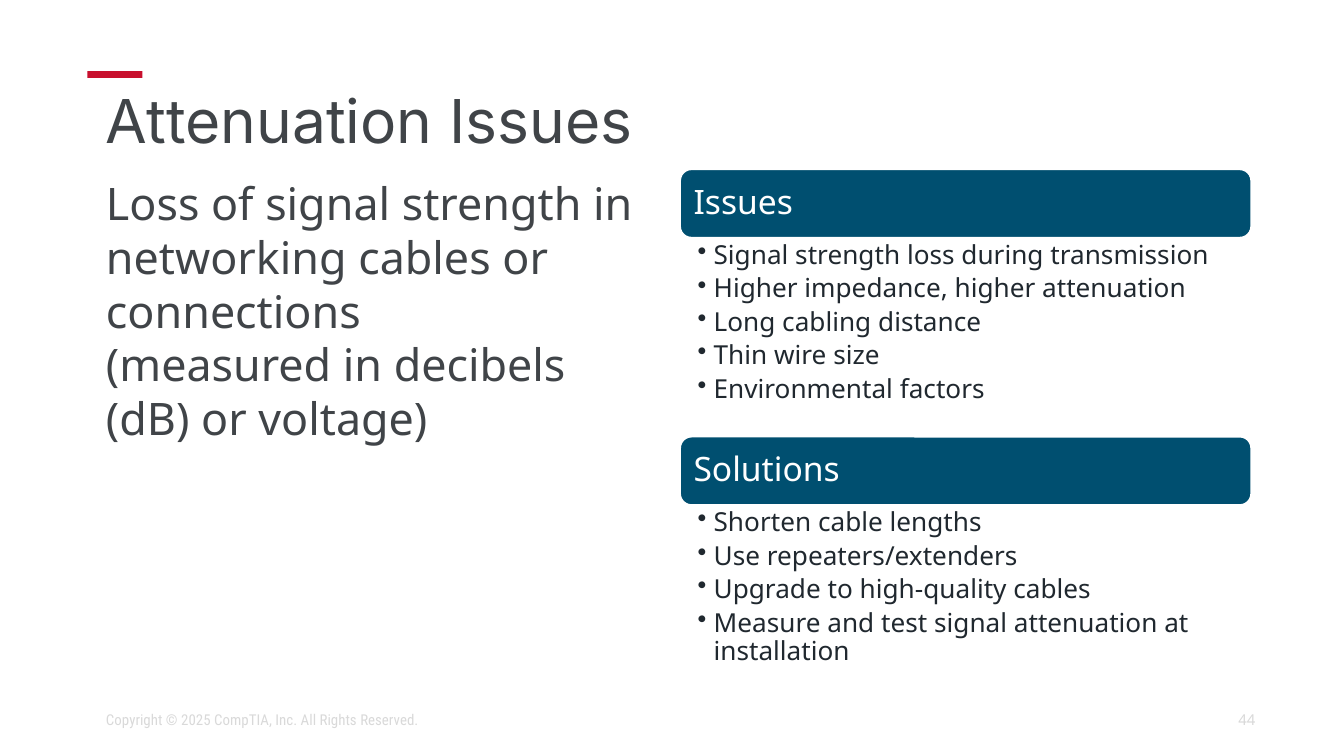
from dataclasses import dataclass

import pptx
import pptx.util
import pptx.dml.color
import pptx.enum.shapes
import pptx.enum.text
import pptx.oxml.ns
from lxml import etree

Inches, Pt = pptx.util.Inches, pptx.util.Pt
RGBColor = pptx.dml.color.RGBColor
MSO_SHAPE = pptx.enum.shapes.MSO_SHAPE
MSO_ANCHOR, PP_ALIGN = pptx.enum.text.MSO_ANCHOR, pptx.enum.text.PP_ALIGN

RED = RGBColor(0xC8, 0x10, 0x2E)
TEAL = RGBColor(0x00, 0x4F, 0x70)
WHITE = RGBColor(0xFF, 0xFF, 0xFF)
GREY = RGBColor(0x40, 0x44, 0x48)
INK = RGBColor(0x20, 0x28, 0x2F)
PALE = RGBColor(0xD9, 0xD9, 0xD9)

WIDTH, HEIGHT = 10, 5.62
LEFT_COL, RIGHT_COL, COL_WIDTH = 0.69, 5.06, 4.25
CONTENT_TOP, FOOTER_TOP, FOOTER_HEIGHT = 1.26, 5.21, 0.3
HEADER_HEIGHT, PANEL_STEP, HEADER_PAD = 0.51, 1.99, 0.03
BULLET_INDENT = 0.12


@dataclass(frozen=True)
class Box:
    left: float
    top: float
    width: float
    height: float

    def emu(self) -> tuple:
        return tuple(Inches(v) for v in (self.left, self.top, self.width, self.height))


@dataclass(frozen=True)
class Style:
    size: float
    color: RGBColor
    font: str = "Noto Sans"
    spacing: float = 1.0
    after: float = 0
    anchor: MSO_ANCHOR = MSO_ANCHOR.MIDDLE
    align: PP_ALIGN = PP_ALIGN.LEFT
    insets: tuple = (0.1, 0.05, 0.1, 0.05)
    bullet: bool = False


@dataclass(frozen=True)
class Panel:
    heading: str
    bullets: tuple


TITLE = Style(32.4, GREY, "Inter", spacing=0.9)
BODY = Style(24, GREY, anchor=MSO_ANCHOR.TOP)
HEADING = Style(18, WHITE, spacing=0.9, insets=(0.07,) * 4)
BULLETS = Style(14, INK, spacing=0.9, after=2.8, anchor=MSO_ANCHOR.TOP,
                insets=(0.13, 0.03, 0.14, 0.03), bullet=True)
COPYRIGHT = Style(8, PALE, "Roboto Condensed")
NUMBER = Style(8, PALE, align=PP_ALIGN.RIGHT)

PANELS = (
    Panel("Issues", (
        "Signal strength loss during transmission",
        "Higher impedance, higher attenuation",
        "Long cabling distance",
        "Thin wire size",
        "Environmental factors",
    )),
    Panel("Solutions", (
        "Shorten cable lengths",
        "Use repeaters/extenders",
        "Upgrade to high-quality cables",
        "Measure and test signal attenuation at installation",
    )),
)


def add_bullet(p) -> None:
    pPr = p._p.get_or_add_pPr()
    pPr.set("marL", str(Inches(BULLET_INDENT)))
    pPr.set("indent", str(-Inches(BULLET_INDENT)))
    etree.SubElement(pPr, pptx.oxml.ns.qn("a:buChar")).set("char", "•")


def add_text(s, box: Box, style: Style, *paragraphs: str) -> None:
    tf = s.shapes.add_textbox(*box.emu()).text_frame
    tf.word_wrap = True
    tf.vertical_anchor = style.anchor
    tf.margin_left, tf.margin_top, tf.margin_right, tf.margin_bottom = map(Inches, style.insets)
    for i, text in enumerate(paragraphs):
        p = tf.add_paragraph() if i else tf.paragraphs[0]
        if style.bullet:
            add_bullet(p)
        p.alignment = style.align
        p.line_spacing = style.spacing
        p.space_after = Pt(style.after)
        for j, line in enumerate(text.split("\n")):
            if j:
                p.add_line_break()
            r = p.add_run()
            r.text = line
            r.font.size = Pt(style.size)
            r.font.name = style.font
            r.font.color.rgb = style.color


def add_block(s, kind: MSO_SHAPE, box: Box, fill: RGBColor):
    sp = s.shapes.add_shape(kind, *box.emu())
    sp.shadow.inherit = False
    sp.fill.solid()
    sp.fill.fore_color.rgb = fill
    sp.line.fill.background()
    return sp


def add_panel(s, panel: Panel, top: float) -> None:
    sp = add_block(s, MSO_SHAPE.ROUNDED_RECTANGLE,
                   Box(RIGHT_COL, top, COL_WIDTH, HEADER_HEIGHT), TEAL)
    sp.line.color.rgb = WHITE
    sp.line.width = Pt(1)
    add_text(s, Box(RIGHT_COL + HEADER_PAD, top + HEADER_PAD,
                    COL_WIDTH - 2 * HEADER_PAD, HEADER_HEIGHT - 2 * HEADER_PAD),
             HEADING, panel.heading)
    add_text(s, Box(RIGHT_COL, top + HEADER_HEIGHT, COL_WIDTH, PANEL_STEP - HEADER_HEIGHT),
             BULLETS, *panel.bullets)


def main() -> None:
    prs = pptx.Presentation()
    prs.slide_width, prs.slide_height = Inches(WIDTH), Inches(HEIGHT)
    s = prs.slides.add_slide(prs.slide_layouts[6])
    add_block(s, MSO_SHAPE.RECTANGLE, Box(0.65, 0.53, 0.41, 0.05), RED)
    add_text(s, Box(LEFT_COL, 0.65, 8.66, 0.54), TITLE, "Attenuation Issues")
    add_text(s, Box(LEFT_COL, CONTENT_TOP, COL_WIDTH, 3.68), BODY,
             "Loss of signal strength in networking cables or connections \n"
             "(measured in decibels (dB) or voltage)")
    add_text(s, Box(LEFT_COL, FOOTER_TOP, 4.31, FOOTER_HEIGHT), COPYRIGHT,
             "Copyright © 2025 CompTIA, Inc. All Rights Reserved.")
    add_text(s, Box(7.06, FOOTER_TOP, 2.38, FOOTER_HEIGHT), NUMBER, "44")
    for row, panel in enumerate(PANELS):
        add_panel(s, panel, CONTENT_TOP + row * PANEL_STEP)
    prs.save("out.pptx")


if __name__ == "__main__":
    main()
